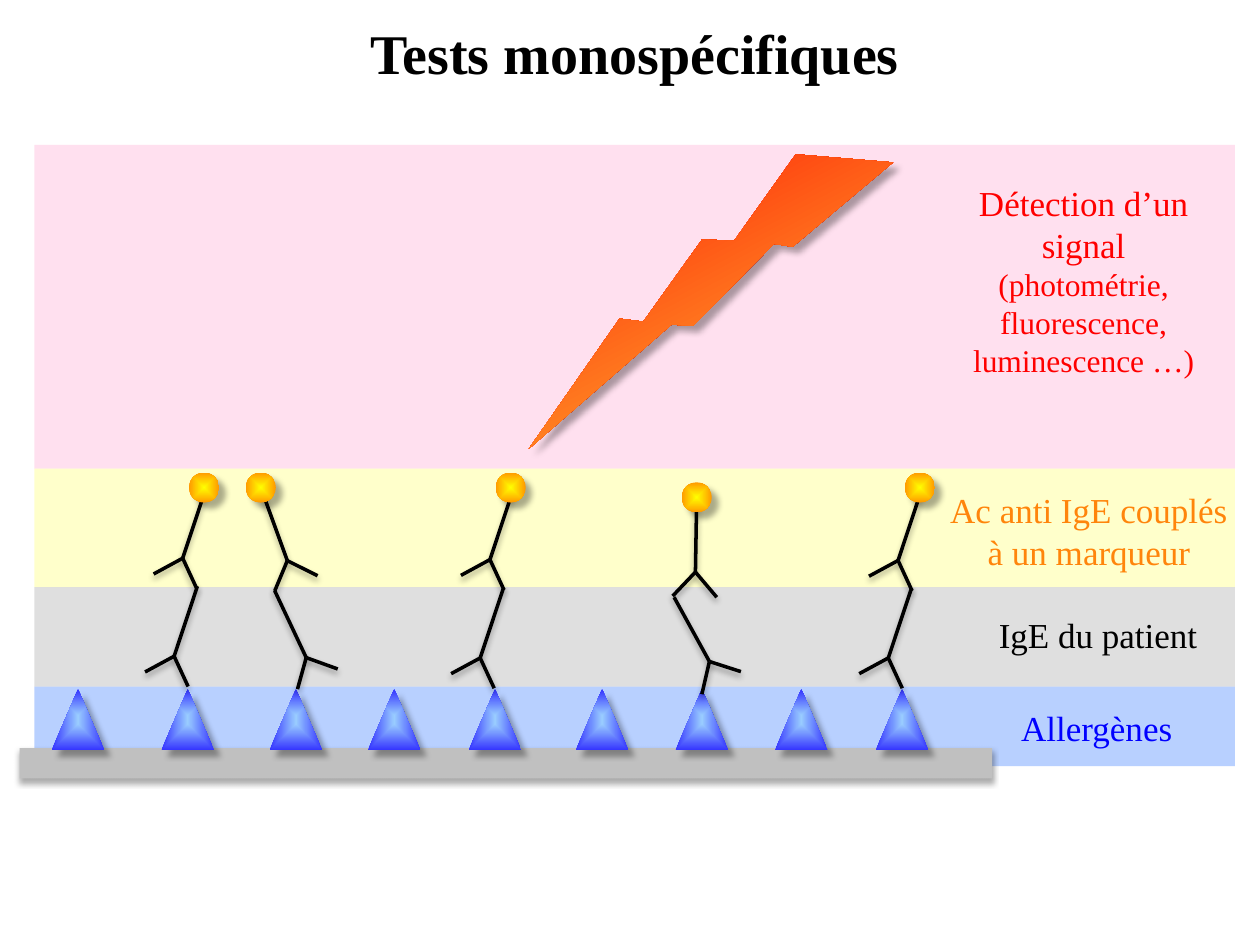
from lxml.etree import SubElement as Sub
from pptx import Presentation
from pptx.dml.color import RGBColor as RGB
from pptx.enum.shapes import MSO_CONNECTOR as CONN, MSO_SHAPE as SHAPE
from pptx.enum.text import PP_ALIGN as ALIGN
from pptx.oxml.ns import qn
from pptx.util import Pt

FONT = "Times New Roman"
BLACK = RGB(0, 0, 0)
RED = RGB(0xFF, 0, 0)
BLUE = RGB(0, 0, 0xFF)
ORANGE = RGB(0xFF, 0x85, 0x0B)
GREY = RGB(0xC0, 0xC0, 0xC0)
SKY = RGB(0x66, 0x99, 0xFF)
PALE = RGB(0xFF, 0xFF, 0x99)
PINK = RGB(0xFF, 0x99, 0xCC)
BOLT = (RED, RGB(0xFF, 0xCA, 0x33))
CONE = (RGB(0x99, 0xCC, 0xFF), RGB(0x33, 0x33, 0xFF))
BALL = (RGB(0xFF, 0xFF, 0), RGB(0xFF, 0x99, 0))

# Shadow offset and angle
DOWN = (2.2, 90)
SLANT = (5, 45)

# Antibody forms: stem tip and two arm tips, relative to the joint
LEAN = ((13.3, -40), (-16.6, 9), (8, 17.3))
LOW = ((-18, -38.2), (-5, 18), (18, 6.5))
TILT = ((-20.2, -36.7), (-4.3, 18.7), (18, 5.8))
BACK = ((-14.4, -39.6), (-7.2, 17.3), (17.3, 8.6))
FORK = ((0.7, -41.8), (-13, 13.7), (12.2, 14.4))


def shade(item, dist, angle):
    props = item._element.spPr
    fx = props.find(qn("a:effectLst"))
    if fx is None:
        fx = Sub(props, qn("a:effectLst"))
    drop = Sub(fx, qn("a:outerShdw"), blurRad=str(Pt(3.5)),
               dist=str(Pt(dist)), dir=str(angle * 60000),
               algn="ctr", rotWithShape="0")
    tint = Sub(drop, qn("a:srgbClr"), val="000000")
    Sub(tint, qn("a:alpha"), val="32000")


def form(slide, kind, x, y, w, h, cast=None):
    item = slide.shapes.add_shape(kind, Pt(x), Pt(y), Pt(w), Pt(h))
    item.line.fill.background()
    item.shadow.inherit = False
    if cast:
        shade(item, *cast)
    return item


def flat(item, color, alpha=100):
    item.fill.solid()
    item.fill.fore_color.rgb = color
    if alpha < 100:
        tint = item._element.spPr.find(qn("a:solidFill"))[0]
        Sub(tint, qn("a:alpha"), val=str(alpha * 1000))


def blend(item, pair, radial=True):
    item.fill.gradient()
    item.fill.gradient_angle = 0
    for stop, color in zip(item.fill.gradient_stops, pair):
        stop.color.rgb = color
    if radial:
        grad = item._element.spPr.find(qn("a:gradFill"))
        grad.remove(grad.find(qn("a:lin")))
        way = Sub(grad, qn("a:path"), path="shape")
        Sub(way, qn("a:fillToRect"), l="50000", t="50000",
            r="50000", b="50000")


def text(slide, runs, x, y, w, h, color=BLACK, bold=False):
    box = slide.shapes.add_textbox(Pt(x), Pt(y), Pt(w), Pt(h))
    box.text_frame.word_wrap = True
    para = box.text_frame.paragraphs[0]
    para.alignment = ALIGN.CENTER
    for words, size in runs:
        run = para.add_run()
        run.text = words
        font = run.font
        font.name, font.size, font.bold = FONT, Pt(size), bold
        font.color.rgb = color


def body(slide, x, y, tips):
    for dx, dy in tips:
        line = slide.shapes.add_connector(
            CONN.STRAIGHT, Pt(x), Pt(y), Pt(x + dx), Pt(y + dy))
        line.line.color.rgb = BLACK
        line.line.width = Pt(2)
        shade(line, *DOWN)


def main():
    prs = Presentation()
    prs.slide_width, prs.slide_height = Pt(720), Pt(540)
    slide = prs.slides.add_slide(prs.slide_layouts[6])

    # Layers and plate
    bands = [(82.8, 267.8, PINK, 30), (267.8, 335.6, PALE, 50),
             (335.6, 392.4, GREY, 50), (392.4, 437.8, SKY, 46)]
    for top, end, color, alpha in bands:
        band = form(slide, SHAPE.RECTANGLE, 19.7, top, 686, end - top)
        flat(band, color, alpha)
    flat(form(slide, SHAPE.RECTANGLE, 11.3, 427.5, 555.7, 17.3, DOWN), GREY)

    # Title and layer labels
    text(slide, [("Tests monospécifiques", 32)], 42.5, 7.2, 640.8, 45.4,
         bold=True)
    text(slide, [("Détection d’un signal ", 20),
                 ("(photométrie, fluorescence, luminescence …)", 18)],
         538.6, 100.1, 161.3, 120.2, color=RED)
    text(slide, [("Ac anti IgE couplés à un marqueur", 20)],
         535.6, 275.8, 173.3, 55.4, color=ORANGE)
    text(slide, [("IgE du patient", 20)], 556.6, 347, 141.8, 31)
    text(slide, [("Allergènes", 20)], 558.7, 400.3, 136, 31, color=BLUE)

    # Signal
    bolt = form(slide, SHAPE.LIGHTNING_BOLT, 360.7, 31, 77, 260.6, SLANT)
    bolt.rotation = 62
    blend(bolt, BOLT, radial=False)

    # Allergens
    for x in (29.5, 92.2, 154, 210.2, 267.8, 329, 386, 442.8, 500.4):
        cone = form(slide, SHAPE.ISOSCELES_TRIANGLE, x, 393.8, 30.2, 35,
                    SLANT)
        blend(cone, CONE)

    # Patient antibodies, then the marked ones above them
    joints = [(99.5, 375, LEAN), (175, 375.8, LOW), (274.4, 376, LEAN),
              (405.4, 378, TILT), (507.6, 376, LEAN),
              (104.4, 319, LEAN), (164.2, 320.4, BACK), (280, 319.8, LEAN),
              (397.4, 326.9, FORK), (513.2, 320.3, LEAN)]
    for x, y, tips in joints:
        body(slide, x, y, tips)

    # Markers
    for x, y in ((108, 270), (140.4, 270), (283.2, 270), (389.5, 275.6),
                 (517, 270)):
        blend(form(slide, SHAPE.OVAL, x, y, 17.2, 17.2, SLANT), BALL)

    prs.save("out.pptx")


if __name__ == "__main__":
    main()
